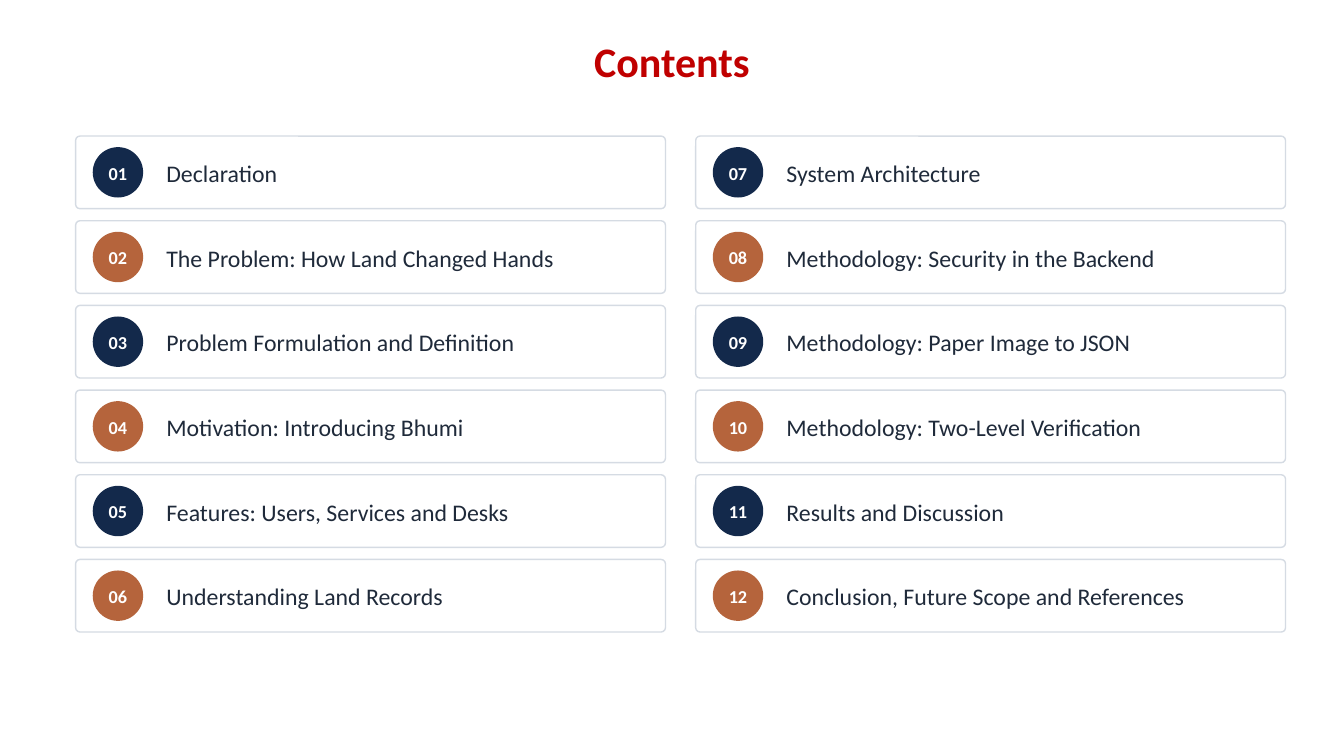
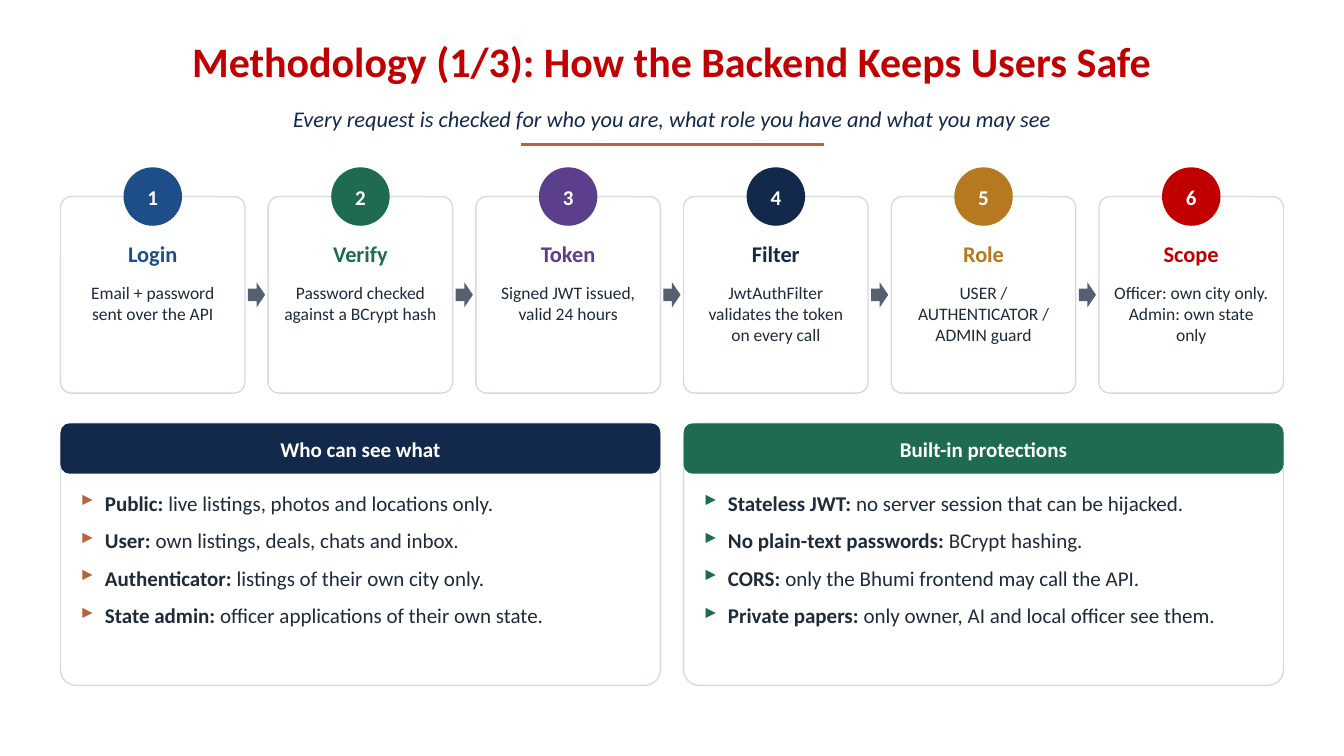
from lxml.etree import SubElement
from pptx import Presentation
from pptx.dml.color import RGBColor
from pptx.enum.shapes import MSO_CONNECTOR as Wire, MSO_SHAPE as Form
from pptx.enum.text import MSO_ANCHOR as Anchor, PP_ALIGN as Align
from pptx.oxml.ns import qn
from pptx.util import Inches, Pt

FONT = "Calibri"
NAVY, RUST, GREEN, RED = "13294B", "B5643C", "1E6B52", "C00000"
BLUE, PLUM, GOLD = "1D4E89", "5B3F8C", "B7791F"
INK, GREY, EDGE, WHITE = "1F2A3A", "556070", "D5DBE3", "FFFFFF"


def tint(code):
    return RGBColor.from_string(code)


class Deck:
    """Holds the shared style and the slide being built."""

    def __init__(self):
        self.prs = Presentation()
        self.prs.slide_width = Inches(13.33)
        self.prs.slide_height = Inches(7.5)
        self.page = None

    def start(self, title):
        self.page = self.prs.slides.add_slide(self.prs.slide_layouts[6])
        self.page.background.fill.solid()
        self.page.background.fill.fore_color.rgb = tint(WHITE)
        self.text((0.5, 0.22, 12.33, 0.82), [[(title, True)]], 30, RED,
                  align=Align.CENTER, anchor=Anchor.MIDDLE, lead=0.9, after=0)

    def shape(self, form, box, fill, line=None, curve=None):
        item = self.page.shapes.add_shape(form, *map(Inches, box))
        item.shadow.inherit = False
        item.fill.solid()
        item.fill.fore_color.rgb = tint(fill)
        if line:
            item.line.color.rgb = tint(line)
            item.line.width = Pt(1)
        else:
            item.line.fill.background()
        if curve is not None:
            item.adjustments[0] = curve
        return item

    def card(self, box):
        self.shape(Form.ROUNDED_RECTANGLE, box, WHITE, EDGE, 0.06)

    def badge(self, left, top, side, label, size, fill):
        disc = self.shape(Form.OVAL, (left, top, side, side), fill)
        self.label(disc, label, size, 0)

    def band(self, box, label, fill):
        bar = self.shape(Form.ROUNDED_RECTANGLE, box, fill, curve=0.18)
        self.label(bar, label, 15, 0.08)

    def label(self, item, words, size, inset):
        self.fill(item.text_frame, [[(words, True)]], size, WHITE, inset=inset,
                  align=Align.CENTER, anchor=Anchor.MIDDLE, after=2)

    def text(self, box, paras, size, color, **style):
        item = self.page.shapes.add_textbox(*map(Inches, box))
        self.fill(item.text_frame, paras, size, color, **style)

    def fill(self, frame, paras, size, color, align=Align.LEFT,
             anchor=Anchor.TOP, lead=1.05, after=6, inset=0.05,
             italic=False, bullet=None):
        frame.word_wrap = True
        frame.vertical_anchor = anchor
        frame.margin_left = frame.margin_right = Inches(inset)
        frame.margin_top = frame.margin_bottom = Inches(inset)
        for i, parts in enumerate(paras):
            para = frame.add_paragraph() if i else frame.paragraphs[0]
            para.alignment = align
            para.line_spacing = lead
            para.space_after = Pt(after)
            if bullet:
                self.mark(para, bullet)
            for words, bold in parts:
                run = para.add_run()
                run.text = words
                font = run.font
                font.name, font.size = FONT, Pt(size)
                font.bold, font.italic = bold, italic
                font.color.rgb = tint(color)

    def mark(self, para, color):
        props = para._p.get_or_add_pPr()
        props.set("marL", str(Inches(0.24)))
        props.set("indent", str(-Inches(0.24)))
        paint = SubElement(props, qn("a:buClr"))
        SubElement(paint, qn("a:srgbClr")).set("val", color)
        SubElement(props, qn("a:buChar")).set("char", "▸")

    def rule(self, left, right, top, color):
        line = self.page.shapes.add_connector(
            Wire.STRAIGHT, *map(Inches, (left, top, right, top)))
        line.line.color.rgb = tint(color)
        line.line.width = Pt(2.25)
        SubElement(line._element.spPr, qn("a:effectLst"))

    def entry(self, left, top, num, words):
        self.card((left, top, 5.85, 0.72))
        self.badge(left + 0.17, top + 0.11, 0.5, f"{num:02}", 13,
                   NAVY if num % 2 else RUST)
        self.text((left + 0.85, top, 4.9, 0.72), [[(words, False)]], 17, INK,
                  anchor=Anchor.MIDDLE)

    def step(self, left, num, name, words, color):
        wide, disc = 1.83, 0.58
        self.card((left, 1.95, wide, 1.95))
        self.badge(left + (wide - disc) / 2, 1.66, disc, str(num), 15, color)
        self.text((left + 0.08, 2.32, 1.67, 0.4), [[(name, True)]], 16, color,
                  align=Align.CENTER)
        self.text((left + 0.1, 2.75, 1.63, 1.1), [[(words, False)]], 12.5,
                  INK, align=Align.CENTER, lead=1)

    def arrow(self, left):
        self.shape(Form.RIGHT_ARROW, (left, 2.8, 0.17, 0.25), GREY)

    def panel(self, left, head, fill, mark, rows):
        self.card((left, 4.2, 5.95, 2.6))
        self.band((left, 4.2, 5.95, 0.5), head, fill)
        paras = [[(key + " ", True), (words, False)] for key, words in rows]
        self.text((left + 0.15, 4.8, 5.65, 1.92), paras, 15, INK,
                  after=8, bullet=mark)


TOPICS = [
    "Declaration",
    "The Problem: How Land Changed Hands",
    "Problem Formulation and Definition",
    "Motivation: Introducing Bhumi",
    "Features: Users, Services and Desks",
    "Understanding Land Records",
    "System Architecture",
    "Methodology: Security in the Backend",
    "Methodology: Paper Image to JSON",
    "Methodology: Two-Level Verification",
    "Results and Discussion",
    "Conclusion, Future Scope and References",
]
STEPS = [
    ("Login", "Email + password sent over the API", BLUE),
    ("Verify", "Password checked against a BCrypt hash", GREEN),
    ("Token", "Signed JWT issued, valid 24 hours", PLUM),
    ("Filter", "JwtAuthFilter validates the token on every call", NAVY),
    ("Role", "USER / AUTHENTICATOR / ADMIN guard", GOLD),
    ("Scope", "Officer: own city only. Admin: own state only", RED),
]
ACCESS = [
    ("Public:", "live listings, photos and locations only."),
    ("User:", "own listings, deals, chats and inbox."),
    ("Authenticator:", "listings of their own city only."),
    ("State admin:", "officer applications of their own state."),
]
GUARDS = [
    ("Stateless JWT:", "no server session that can be hijacked."),
    ("No plain-text passwords:", "BCrypt hashing."),
    ("CORS:", "only the Bhumi frontend may call the API."),
    ("Private papers:", "only owner, AI and local officer see them."),
]


def contents(deck):
    deck.start("Contents")
    for i, words in enumerate(TOPICS):
        col, row = divmod(i, 6)
        deck.entry(0.75 + 6.15 * col, 1.35 + 0.84 * row, i + 1, words)


def method(deck):
    deck.start("Methodology (1/3): How the Backend Keeps Users Safe")
    deck.text((0.6, 0.98, 12.13, 0.42),
              [[("Every request is checked for who you are, "
                 "what role you have and what you may see", False)]],
              16, NAVY, align=Align.CENTER, italic=True)
    deck.rule(5.17, 8.17, 1.43, RUST)
    for i, (name, words, color) in enumerate(STEPS):
        left = 0.6 + 2.06 * i
        deck.step(left, i + 1, name, words, color)
        if i < len(STEPS) - 1:
            deck.arrow(left + 1.86)
    deck.panel(0.6, "Who can see what", NAVY, RUST, ACCESS)
    deck.panel(6.78, "Built-in protections", GREEN, GREEN, GUARDS)


def main():
    deck = Deck()
    contents(deck)
    method(deck)
    deck.prs.save("out.pptx")


if __name__ == "__main__":
    main()
